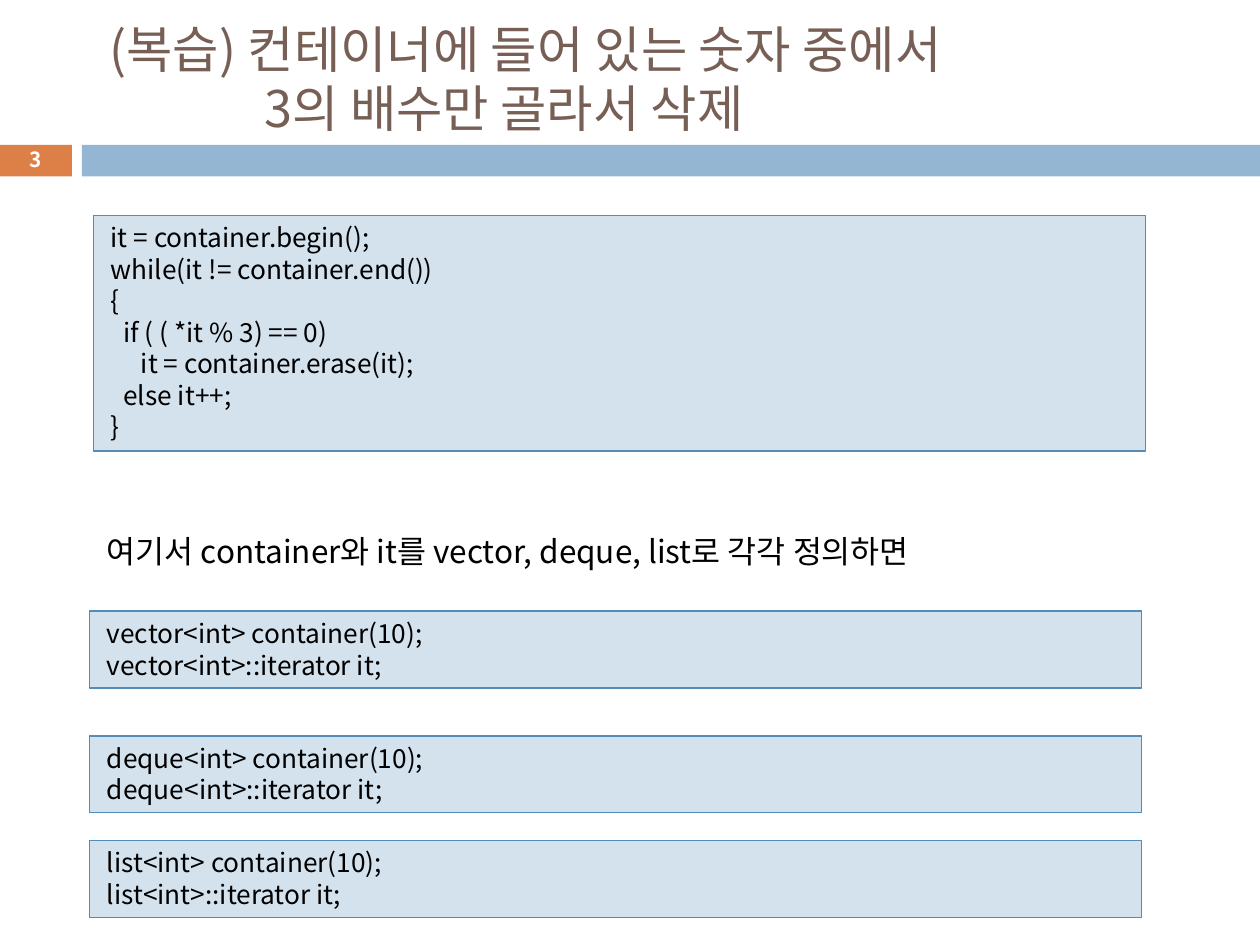
"""Build the review slide on erasing multiples of three from a container."""
from pptx import Presentation, util as u
from pptx.dml.color import RGBColor
from pptx.enum import shapes, text
from pptx.oxml.ns import qn
from lxml import etree

FACE = "Noto Sans CJK KR"
BROWN = RGBColor(0x77, 0x5F, 0x55)
ORANGE = RGBColor(0xDD, 0x80, 0x47)
BLUE = RGBColor(0x94, 0xB6, 0xD2)
PALE = RGBColor(0xD4, 0xE2, 0xED)
EDGE = RGBColor(0x55, 0x8B, 0xB8)
WHITE = RGBColor(0xFF, 0xFF, 0xFF)
BLACK = RGBColor(0, 0, 0)

TITLE = "(복습) 컨테이너에 들어 있는 숫자 중에서 \v3의 배수만 골라서 삭제"
INTRO = "여기서 container와 it를 vector, deque, list로 각각 정의하면"
LOOP = [
    (0, "it = container.begin();"),
    (0, "while(it != container.end())"),
    (0, "{"),
    (1, "if ( ( *it % 3) == 0)"),
    (2, "it = container.erase(it);"),
    (1, "else it++;"),
    (0, "}"),
]
KINDS = [("vector", 4.85), ("deque", 5.84), ("list", 6.67)]
STEPS = (0.04, 0.14, 0.28)
BARS = [((-0.01, 1.15, 0.58, 0.25), ORANGE), ((0.65, 1.15, 9.35, 0.25), BLUE)]

CODE = dict(size=u.Pt(15), color=BLACK, pitch=u.Pt(18))
LEAD = dict(size=u.Pt(18), color=BLACK, pitch=u.Pt(21.6))
HEAD = dict(size=u.Pt(28.8), color=BROWN, pitch=u.Pt(33.7))
PAGE = dict(size=u.Pt(11.9), color=WHITE, bold=True)

deck = Presentation()
deck.slide_width, deck.slide_height = u.Inches(10), u.Inches(7.5)
slide = deck.slides.add_slide(deck.slide_layouts[5])


def place(at):
    return [u.Inches(n) for n in at]


def write(shape, lines, look, align=text.PP_ALIGN.LEFT, anchor=text.MSO_ANCHOR.TOP):
    frame = shape.text_frame
    form = dict(word_wrap=True, auto_size=text.MSO_AUTO_SIZE.NONE, vertical_anchor=anchor)
    for key, val in form.items():
        setattr(frame, key, val)
    for i, (left, hang, line) in enumerate(lines):
        para = frame.add_paragraph() if i else frame.paragraphs[0]
        para.text = line
        para.alignment = align
        para.line_spacing = look.get("pitch")
        para.space_before = para.space_after = u.Pt(0)
        props = para._p.get_or_add_pPr()
        props.set("marL", str(u.Inches(left)))
        props.set("indent", str(u.Inches(hang)))
        for run in para.runs:
            run.font.name = FACE
            run.font.size = look["size"]
            run.font.bold = look.get("bold", False)
            run.font.color.rgb = look["color"]
            etree.SubElement(run._r.get_or_add_rPr(), qn("a:ea"), typeface=FACE)


def block(at, fill, edge=None):
    shape = slide.shapes.add_shape(shapes.MSO_SHAPE.RECTANGLE, *place(at))
    shape.shadow.inherit = False
    shape.fill.solid()
    shape.fill.fore_color.rgb = fill
    if edge is None:
        shape.line.fill.background()
    else:
        shape.line.color.rgb = edge
        shape.line.width = u.Pt(0.75)
    return shape


def code(at, lines):
    write(block(at, PALE, EDGE), [(STEPS[n], 0, line) for n, line in lines], CODE)


def label(at, line, look, **opts):
    write(slide.shapes.add_textbox(*place(at)), [(0, 0, line)], look, **opts)


for at, fill in BARS:
    block(at, fill)

title = slide.shapes.title
title.left, title.top, title.width, title.height = place((0.67, 0.25, 9.13, 0.74))
write(title, [(1.33, -1.23, TITLE)], HEAD, anchor=text.MSO_ANCHOR.MIDDLE)
label((-0.01, 1.13, 0.58, 0.27), "3", PAGE,
      align=text.PP_ALIGN.CENTER, anchor=text.MSO_ANCHOR.MIDDLE)

code((0.74, 1.71, 8.35, 1.87), LOOP)
label((0.75, 4.17, 7.91, 0.4), INTRO, LEAD)
for kind, top in KINDS:
    code((0.71, top, 8.35, 0.61),
         [(0, f"{kind}<int> container(10);"), (0, f"{kind}<int>::iterator it;")])

deck.save("out.pptx")
